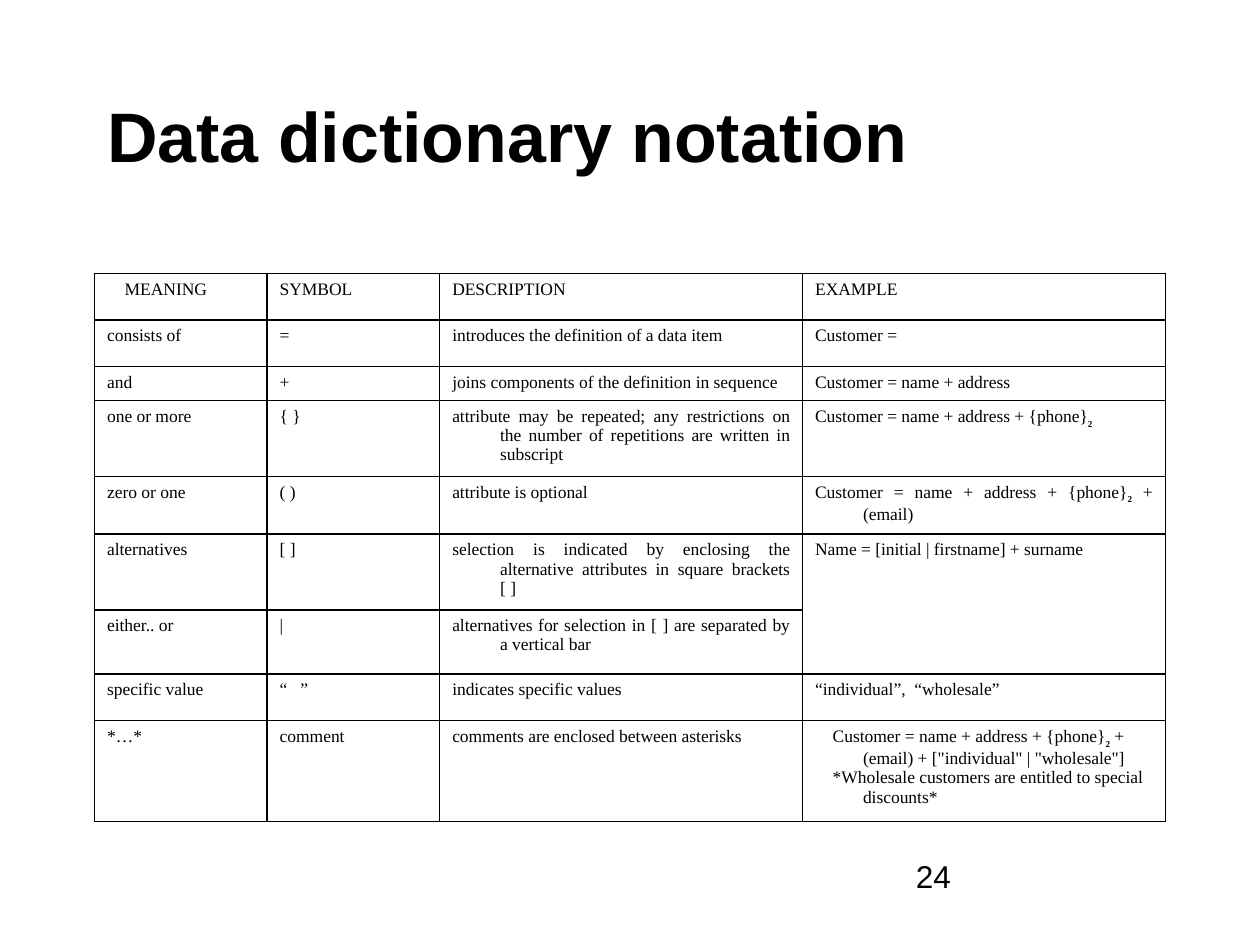
from lxml import etree
from pptx import Presentation
from pptx.dml.color import RGBColor
from pptx.enum import text
from pptx.oxml import ns
from pptx.util import Inches, Pt

BLACK = RGBColor(0, 0, 0)
COLUMN_WIDTHS = [1.37, 1.37, 2.88, 2.88]
ROW_HEIGHTS = [0.37, 0.37, 0.27, 0.56, 0.43, 0.6, 0.51, 0.37, 0.8]
SUBSCRIPT = "_2"  # marks a subscript 2 in the wording below
NOTATION = [
    ["MEANING", "SYMBOL", "DESCRIPTION", "EXAMPLE"],
    ["consists of", "=", "introduces the definition of a data item", "Customer ="],
    ["and", "+", "joins components of the definition in sequence",
     "Customer = name + address"],
    ["one or more", "{ }",
     "attribute may be repeated; any restrictions on the number of "
     "repetitions are written in subscript",
     "Customer = name + address + {phone}_2"],
    ["zero or one", "( )", "attribute is optional",
     "Customer = name + address + {phone}_2 + (email)"],
    ["alternatives", "[ ]",
     "selection is indicated by enclosing the alternative attributes in "
     "square brackets [ ]",
     "Name = [initial | firstname] + surname"],
    ["either.. or", "|",
     "alternatives for selection in [ ] are separated by a vertical bar", ""],
    ["specific value", "“   ”", "indicates specific values",
     "“individual”,  “wholesale”"],
    ["*…*", "comment", "comments are enclosed between asterisks",
     'Customer = name + address + {phone}_2 + (email) + ["individual" | "wholesale"]\n'
     "*Wholesale customers are entitled to special discounts*"],
]
LEFT_ALIGNED = [(0, 0), (8, 3)]


def add_run(paragraph, wording, **formats):
    """Add a black run with the given font formats and return it."""
    run = paragraph.add_run()
    run.text = wording
    run.font.color.rgb = BLACK
    for attribute, value in formats.items():
        setattr(run.font, attribute, value)
    return run


def add_borders(cell):
    """Draw a thin black line on all four sides of a table cell."""
    properties = cell._tc.get_or_add_tcPr()
    for side in ("a:lnL", "a:lnR", "a:lnT", "a:lnB"):
        line = etree.SubElement(properties, ns.qn(side), w=str(Pt(1)))
        fill = etree.SubElement(line, ns.qn("a:solidFill"))
        etree.SubElement(fill, ns.qn("a:srgbClr"), val=str(BLACK))


deck = Presentation()
deck.slide_width, deck.slide_height = Inches(10), Inches(7.5)
slide = deck.slides.add_slide(deck.slide_layouts[5])

title = slide.shapes.title
title_place = {"left": 0.75, "top": 0.99, "width": 9.25, "height": 0.79}
for attribute, value in title_place.items():
    setattr(title, attribute, Inches(value))
title_frame = title.text_frame
title_frame.vertical_anchor = text.MSO_ANCHOR.MIDDLE
title_frame.margin_bottom = Inches(0.68)
title_frame.auto_size = text.MSO_AUTO_SIZE.NONE
heading = title_frame.paragraphs[0]
heading.alignment = text.PP_ALIGN.LEFT
add_run(heading, "Data dictionary notation", name="Arial", size=Pt(40), bold=True)

page_number = slide.shapes.add_textbox(
    Inches(7.17), Inches(6.75), Inches(2.08), Inches(0.5)).text_frame
page_number.word_wrap = True
add_run(page_number.paragraphs[0], "24", name="Arial", size=Pt(18))

table = slide.shapes.add_table(
    len(ROW_HEIGHTS), len(COLUMN_WIDTHS), Inches(0.75), Inches(2.17),
    Inches(sum(COLUMN_WIDTHS)), Inches(sum(ROW_HEIGHTS))).table
table.first_row = table.horz_banding = False
for column, width in zip(table.columns, COLUMN_WIDTHS):
    column.width = Inches(width)
for row, height in zip(table.rows, ROW_HEIGHTS):
    row.height = Inches(height)
table.cell(5, 3).merge(table.cell(6, 3))

for row_index, entries in enumerate(NOTATION):
    for column_index, entry in enumerate(entries):
        cell = table.cell(row_index, column_index)
        add_borders(cell)
        cell.fill.background()
        is_left = (row_index, column_index) in LEFT_ALIGNED
        cell.text = entry and "\n" * entry.count("\n")
        for paragraph, wording in zip(cell.text_frame.paragraphs, entry.split("\n")):
            paragraph.alignment = (
                text.PP_ALIGN.LEFT if is_left else text.PP_ALIGN.JUSTIFY)
            paragraph.font.size = Pt(10)
            indents = paragraph._p.get_or_add_pPr()
            indents.set("marL", str(Inches(0.38)))
            indents.set("indent", str(Inches(-0.24 if is_left else -0.38)))
            before, mark, after = wording.partition(SUBSCRIPT)
            if before:
                add_run(paragraph, before, name="Times New Roman", size=Pt(10))
            if mark:
                count = add_run(paragraph, "2", name="Times New Roman",
                                size=Pt(9), bold=True)
                count._r.get_or_add_rPr().set("baseline", "-30000")
            if after:
                add_run(paragraph, after, name="Times New Roman", size=Pt(10))

deck.save("out.pptx")
